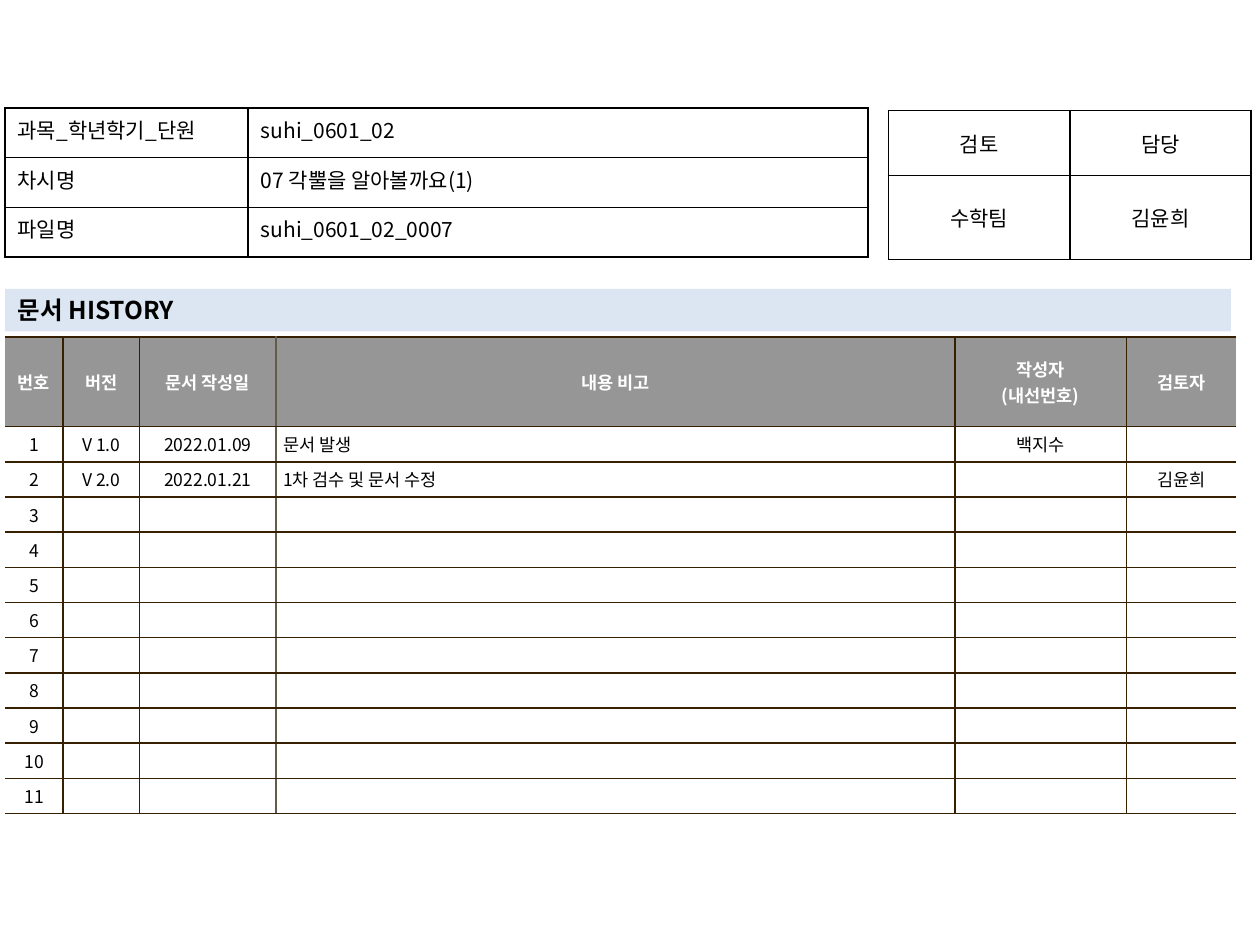
"""Build the document history slide with its info, approval and revision tables."""
from lxml.etree import SubElement
from pptx import Presentation
from pptx.dml.color import RGBColor
from pptx.enum.text import MSO_ANCHOR, PP_ALIGN
from pptx.oxml.ns import qn
from pptx.util import Pt

FONT = "Noto Sans CJK KR"
COLORS = {
    "black": "000000",
    "white": "FFFFFF",
    "bar": "DCE6F2",
    "header": "969696",
    "brown": "362000",
    "taupe": "645B4C",
}


def add_grid(s, left, top, cols, rows):
    """Add an unbanded table with the given column widths and row heights."""
    shape = s.shapes.add_table(len(rows), len(cols), Pt(left), Pt(top), Pt(sum(cols)), Pt(sum(rows)))
    table = shape.table
    table.first_row = table.horz_banding = False
    for col, width in zip(table.columns, cols):
        col.width = Pt(width)
    for row, height in zip(table.rows, rows):
        row.height = Pt(height)
    return table


def format_cell(cell, text, size, align, anchor, margins, borders, fill=None, color="black", bold=False):
    """Write a cell's text, then its left, right, top and bottom borders and its fill."""
    cell.vertical_anchor = anchor
    cell.margin_left = cell.margin_right = Pt(margins[0])
    cell.margin_top = cell.margin_bottom = Pt(margins[1])
    tf = cell.text_frame
    for i, line in enumerate(text.split("\n")):
        p = tf.add_paragraph() if i else tf.paragraphs[0]
        p.alignment = align
        if not line:
            SubElement(p._p, qn("a:endParaRPr"), sz=str(size * 100))
            continue
        r = p.add_run()
        r.text = line
        r.font.size, r.font.name, r.font.bold = Pt(size), FONT, bold
        r.font.color.rgb = RGBColor.from_string(COLORS[color])
        SubElement(r._r.get_or_add_rPr(), qn("a:ea"), typeface=FONT)
    tcPr = cell._tc.get_or_add_tcPr()
    for side, border in zip("LRTB", borders):
        ln = SubElement(tcPr, qn(f"a:ln{side}"), w=str(Pt(1)))
        if border:
            solid = SubElement(ln, qn("a:solidFill"))
            SubElement(solid, qn("a:srgbClr"), val=COLORS[border])
        else:
            SubElement(ln, qn("a:noFill"))
    if fill:
        cell.fill.solid()
        cell.fill.fore_color.rgb = RGBColor.from_string(COLORS[fill])
    else:
        cell.fill.background()


prs = Presentation()
prs.slide_width, prs.slide_height = Pt(720), Pt(540)
s = prs.slides.add_slide(prs.slide_layouts[5])

title = s.shapes.title
title.left, title.top, title.width, title.height = Pt(2.9), Pt(165), Pt(700.5), Pt(24.4)
title.fill.solid()
title.fill.fore_color.rgb = RGBColor.from_string(COLORS["bar"])
tf = title.text_frame
tf.vertical_anchor = MSO_ANCHOR.MIDDLE
tf.margin_left = tf.margin_right = Pt(7.2)
tf.margin_top = tf.margin_bottom = 0
p = tf.paragraphs[0]
p.alignment = PP_ALIGN.LEFT
r = p.add_run()
r.text = "문서 HISTORY"
r.font.size, r.font.name, r.font.bold = Pt(14), FONT, True
r.font.color.rgb = RGBColor.from_string(COLORS["black"])
SubElement(r._r.get_or_add_rPr(), qn("a:ea"), typeface=FONT)

history = [
    ["번호", "버전", "문서 작성일", "내용 비고", "작성자\n(내선번호)", "검토자"],
    ["1", "V 1.0", "2022.01.09", "문서 발생", "백지수", ""],
    ["2", "V 2.0", "2022.01.21", "1차 검수 및 문서 수정", "", "김윤희"],
]
history += [[str(n), "", "", "", "", ""] for n in range(3, 12)]
dividers = [None, "brown", "brown", "taupe", "brown", "brown", None]
table = add_grid(s, 2.9, 192.7, [33.1, 43.9, 77.8, 388.1, 97.9, 62.6], [51.1] + [20.1] * 11)
for i, row in enumerate(history):
    head = i == 0
    for j, text in enumerate(row):
        align = PP_ALIGN.LEFT if j == 3 and not head else PP_ALIGN.CENTER
        format_cell(table.cell(i, j), text, 10, align, MSO_ANCHOR.MIDDLE, (4.1, 2.6),
                    (dividers[j], dividers[j + 1], "brown", "brown"),
                    "header" if head else "white", "white" if head else "black", head)

approval = [["검토", "담당"], ["수학팀", "김윤희"]]
table = add_grid(s, 507.6, 63.2, [103.7, 103.7], [37.2, 47.8])
for i, row in enumerate(approval):
    for j, text in enumerate(row):
        format_cell(table.cell(i, j), text, 12, PP_ALIGN.CENTER, MSO_ANCHOR.MIDDLE,
                    (7.2, 3.6), ["black"] * 4)

info = [
    ["과목_학년학기_단원 ", "suhi_0601_02"],
    ["차시명", "07 각뿔을 알아볼까요(1)"],
    ["파일명", "suhi_0601_02_0007"],
]
table = add_grid(s, 2.9, 61.7, [138.9, 354.3], [28.4] * 3)
for i, row in enumerate(info):
    for j, text in enumerate(row):
        align = PP_ALIGN.LEFT if j else PP_ALIGN.JUSTIFY
        format_cell(table.cell(i, j), text, 12, align, MSO_ANCHOR.TOP,
                    (7.2, 3.6), ["black"] * 4)

prs.save("out.pptx")
